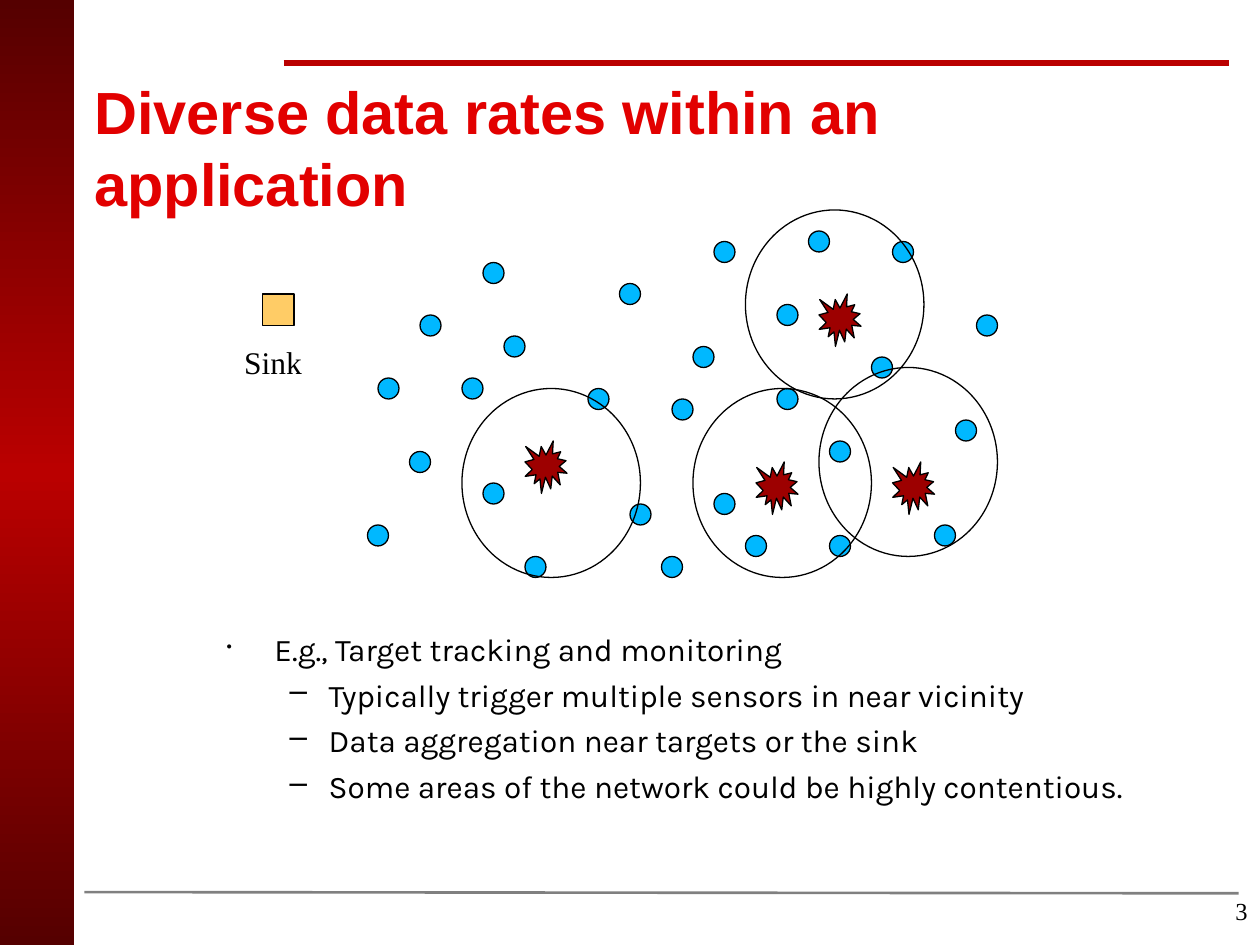
from copy import deepcopy
from dataclasses import dataclass

from lxml.etree import SubElement
from pptx import Presentation
from pptx.dml.color import RGBColor
from pptx.enum.shapes import MSO_CONNECTOR, MSO_SHAPE
from pptx.enum.text import MSO_ANCHOR, PP_ALIGN
from pptx.oxml.ns import qn
from pptx.shapes.autoshape import Shape
from pptx.slide import Slide
from pptx.util import Inches, Pt


@dataclass(frozen=True)
class Theme:
    title: str = "E20000"
    ink: str = "000000"
    band_edge: str = "550000"
    accent: str = "BA0000"
    footer_rule: str = "808080"
    sensor: str = "00B8FF"
    target: str = "9D0000"
    sink: str = "FFCC66"
    title_font: str = "Arial"
    body_font: str = "Karla"
    label_font: str = "Times New Roman"
    title_size: int = 34
    body_size: int = 18
    number_size: int = 14
    outline: float = 0.75


@dataclass(frozen=True)
class Marker:
    """A kind of map symbol, sized in grid cells."""
    shape: MSO_SHAPE
    width: int
    height: int
    fill: str | None = None


@dataclass(frozen=True)
class Bullet:
    text: str
    level: int = 1


@dataclass(frozen=True)
class BulletStyle:
    char: str
    indent: float
    hanging: float
    percent: int


THEME = Theme()
CELLS_PER_INCH = 12

SINK = Marker(MSO_SHAPE.RECTANGLE, 3, 3, THEME.sink)
SENSOR = Marker(MSO_SHAPE.OVAL, 2, 2, THEME.sensor)
TARGET = Marker(MSO_SHAPE.EXPLOSION1, 4, 5, THEME.target)
RANGE = Marker(MSO_SHAPE.OVAL, 17, 18)

# Top-left grid cells of the markers, from back to front
FIELD = [
    (SINK, [(25, 28)]),
    (SENSOR, [
        (40, 30), (36, 36), (44, 36), (48, 32), (39, 43), (46, 46), (56, 37),
        (46, 25), (59, 27), (64, 38), (66, 33), (68, 23), (68, 47), (74, 29),
        (74, 37), (60, 48), (85, 23), (79, 42), (83, 34), (79, 51), (93, 30),
        (91, 40), (89, 50), (35, 50), (50, 53), (71, 51), (63, 53), (77, 22),
    ]),
    (TARGET, [(50, 42), (72, 44), (78, 28), (85, 44)]),
    (RANGE, [(71, 20), (78, 35), (66, 37), (44, 37)]),
]

BULLETS = [
    Bullet("E.g., Target tracking and monitoring", 0),
    Bullet("Typically trigger multiple sensors in near vicinity"),
    Bullet("Data aggregation near targets or the sink"),
    Bullet("Some areas of the network could be highly contentious."),
]
BULLET_STYLES = [BulletStyle("•", 0.38, 0.38, 50), BulletStyle("–", 0.81, 0.31, 100)]


def rgb(color: str) -> RGBColor:
    return RGBColor.from_string(color)


def style_runs(p, font: str, size: float, color: str, bold: bool = False) -> None:
    for r in p.runs:
        r.font.name, r.font.size, r.font.bold = font, Pt(size), bold
        r.font.color.rgb = rgb(color)


def add_band(slide: Slide) -> None:
    sp = slide.shapes.add_shape(MSO_SHAPE.RECTANGLE, 0, 0, Inches(0.59), Inches(7.5))
    sp.shadow.inherit = False
    sp.line.fill.background()
    sp.fill.gradient()
    sp.fill.gradient_angle = 90
    stops = sp._element.spPr.find(".//" + qn("a:gsLst"))
    stops.insert(1, deepcopy(stops[0]))
    colors = (THEME.band_edge, THEME.accent, THEME.band_edge)
    for stop, position, color in zip(sp.fill.gradient_stops, (0, 0.5, 1), colors):
        stop.position = position
        stop.color.rgb = rgb(color)


def add_rule(slide: Slide, x1: float, y1: float, x2: float, y2: float,
             color: str, width: float) -> None:
    line = slide.shapes.add_connector(
        MSO_CONNECTOR.STRAIGHT, Inches(x1), Inches(y1), Inches(x2), Inches(y2))
    line.line.color.rgb = rgb(color)
    line.line.width = Pt(width)
    SubElement(line._element.spPr, qn("a:effectLst"))


def add_marker(slide: Slide, marker: Marker, column: int, row: int) -> None:
    box = (Inches(n / CELLS_PER_INCH) for n in (column, row, marker.width, marker.height))
    sp = slide.shapes.add_shape(marker.shape, *box)
    sp.shadow.inherit = False
    sp.line.color.rgb = rgb(THEME.ink)
    sp.line.width = Pt(THEME.outline)
    if marker.fill:
        sp.fill.solid()
        sp.fill.fore_color.rgb = rgb(marker.fill)
    else:
        sp.fill.background()


def add_label(slide: Slide, text: str, x: float, y: float, w: float, h: float,
              size: float, wrap: bool = False, align: PP_ALIGN = PP_ALIGN.LEFT) -> Shape:
    sp = slide.shapes.add_textbox(Inches(x), Inches(y), Inches(w), Inches(h))
    tf = sp.text_frame
    tf.word_wrap = wrap
    tf.text = text
    tf.paragraphs[0].alignment = align
    style_runs(tf.paragraphs[0], THEME.label_font, size, THEME.ink)
    return sp


def set_title(slide: Slide, text: str) -> None:
    sp = slide.shapes.title
    sp.left, sp.top, sp.width, sp.height = (Inches(n) for n in (0.75, 0.58, 8.52, 1.17))
    tf = sp.text_frame
    tf.word_wrap = True
    tf.vertical_anchor = MSO_ANCHOR.MIDDLE
    tf.margin_left = tf.margin_right = tf.margin_top = tf.margin_bottom = 0
    tf.text = text
    p = tf.paragraphs[0]
    p.alignment = PP_ALIGN.LEFT
    style_runs(p, THEME.title_font, THEME.title_size, THEME.title, bold=True)


def set_bullet(p, style: BulletStyle) -> None:
    p_pr = p._p.get_or_add_pPr()
    p_pr.set("marL", str(Inches(style.indent)))
    p_pr.set("indent", str(-Inches(style.hanging)))
    SubElement(SubElement(p_pr, qn("a:buClr")), qn("a:srgbClr"), val=THEME.ink)
    SubElement(p_pr, qn("a:buSzPct"), val=str(style.percent * 1000))
    SubElement(p_pr, qn("a:buChar"), char=style.char)


def add_bullets(slide: Slide, bullets: list[Bullet]) -> None:
    sp = slide.shapes.add_textbox(Inches(1.7), Inches(4.95), Inches(7.39), Inches(1.85))
    tf = sp.text_frame
    tf.word_wrap = True
    for i, bullet in enumerate(bullets):
        p = tf.add_paragraph() if i else tf.paragraphs[0]
        p.text = bullet.text
        p.level = bullet.level
        set_bullet(p, BULLET_STYLES[bullet.level])
        if i:
            p.space_before = Pt(4.5)
        style_runs(p, THEME.body_font, THEME.body_size, THEME.ink)


def main() -> None:
    prs = Presentation()
    prs.slide_width, prs.slide_height = Inches(10), Inches(7.5)
    slide = prs.slides.add_slide(prs.slide_layouts[5])

    number = add_label(slide, "3", 7.67, 7.08, 2.33, 0.32, THEME.number_size,
                       wrap=True, align=PP_ALIGN.RIGHT)
    number.text_frame.paragraphs[0].line_spacing = 0.93
    add_band(slide)
    add_rule(slide, 2.25, 0.5, 9.75, 0.5, THEME.accent, 3)
    add_rule(slide, 0.67, 7.08, 9.83, 7.09, THEME.footer_rule, 1.5)
    set_title(slide, "Diverse data rates within an application")
    add_bullets(slide, BULLETS)
    for marker, cells in FIELD:
        for column, row in cells:
            add_marker(slide, marker, column, row)
    add_label(slide, "Sink", 1.84, 2.67, 0.66, 0.4, THEME.body_size)

    prs.save("out.pptx")


if __name__ == "__main__":
    main()
